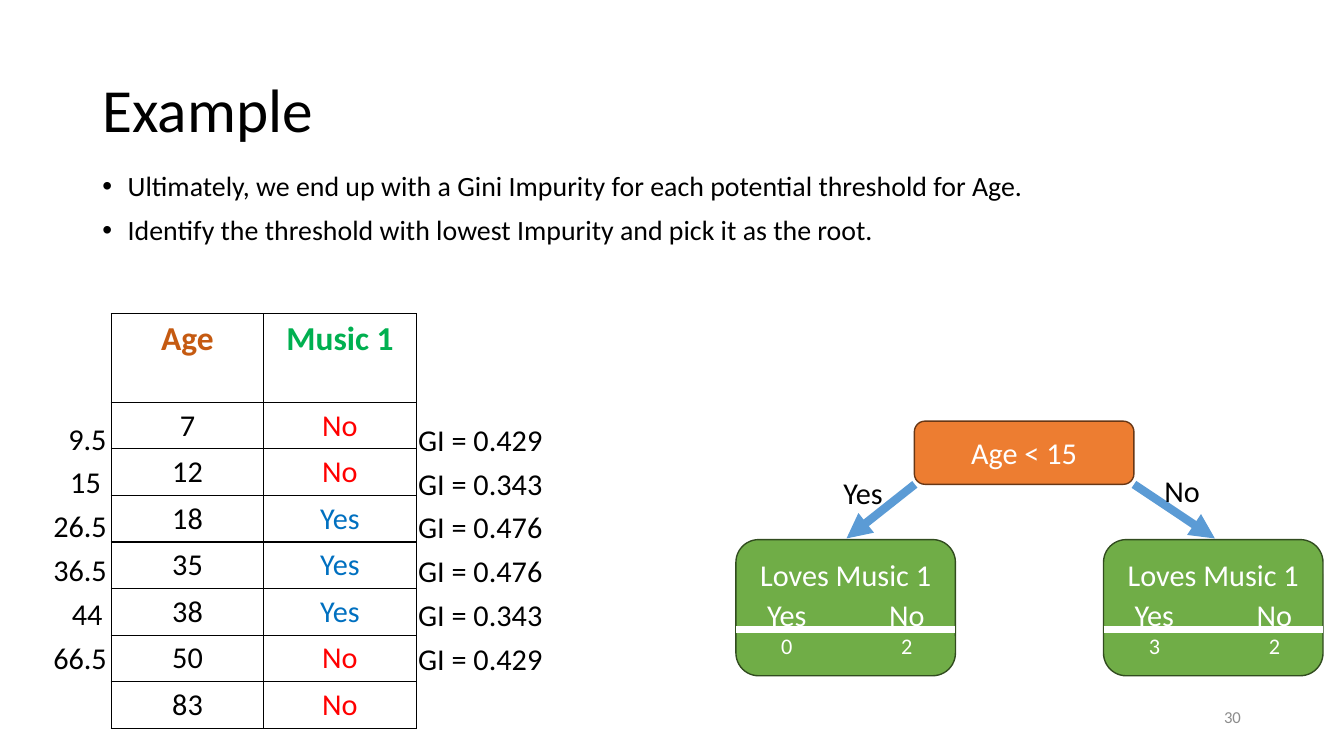
"""Build the slide that picks the root threshold for Age by Gini Impurity."""
from dataclasses import dataclass
from typing import Any

from lxml.etree import SubElement
from pptx import Presentation
from pptx.dml.color import RGBColor
from pptx.enum.shapes import MSO_CONNECTOR as Link, MSO_SHAPE as Preset
from pptx.enum.text import MSO_ANCHOR as Anchor, MSO_AUTO_SIZE as Fit, PP_ALIGN as Align
from pptx.oxml.ns import qn
from pptx.util import Cm, Pt

BLACK, WHITE = "000000", "FFFFFF"
ORANGE, GREEN, BLUE = "ED7D31", "70AD47", "5B9BD5"
ANSWER_COLOURS = {"Yes": "0070C0", "No": "FF0000"}
SMALL = {"size": Pt(16)}
NORMAL = {"size": Pt(21.7)}
HEADING = {"size": Pt(24), "bold": True}
SPLIT_TOP, SPLIT_STEP = 10.5, 1.11
LEAF_TOP, LEAF_WIDTH, LEAF_HEIGHT = 13.67, 5.56, 3.45
DIVIDER_Y = 15.95


@dataclass
class Split:
    threshold: str
    left: float
    width: float
    impurity: str


@dataclass
class Leaf:
    left: float
    yes: str
    no: str


@dataclass
class Branch:
    start: tuple[float, float]
    end: tuple[float, float]
    answer: str
    label_at: tuple[float, float]


SPLITS = [
    Split("9.5", 1.48, 1.5, "0.429"),
    Split("15", 1.53, 1.5, "0.343"),
    Split("26.5", 1.1, 1.98, "0.476"),
    Split("36.5", 1.1, 1.98, "0.476"),
    Split("44", 1.57, 1.5, "0.343"),
    Split("66.5", 1.1, 1.98, "0.429"),
]
LEAVES = [Leaf(18.64, "0", "2"), Leaf(27.95, "3", "2")]
BRANCHES = [
    Branch((23.17, 12.27), (21.44, 13.64), "Yes", (21.11, 11.89)),
    Branch((28.72, 12.27), (30.77, 13.64), "No", (29.24, 11.84)),
]
LISTENERS = [("7", "No"), ("12", "No"), ("18", "Yes"), ("35", "Yes"),
             ("38", "Yes"), ("50", "No"), ("83", "No")]
ADVICE = [
    "Ultimately, we end up with a Gini Impurity for each potential threshold for Age.",
    "Identify the threshold with lowest Impurity and pick it as the root.",
]


def colour(value: str) -> RGBColor:
    return RGBColor.from_string(value)


def apply(target: Any, values: dict[str, Any]) -> None:
    for name, value in values.items():
        setattr(target, name, value)


def write(paragraph: Any, words: str, ink: str = BLACK,
          look: dict[str, Any] = NORMAL, align: Align = Align.LEFT) -> None:
    paragraph.alignment = align
    run = paragraph.add_run()
    run.text = words
    apply(run.font, {"name": "Calibri", **look})
    run.font.color.rgb = colour(ink)


def add_label(slide: Any, words: str, left: float, top: float, width: float,
              height: float = 1.19, **style: Any) -> None:
    frame = slide.shapes.add_textbox(Cm(left), Cm(top), Cm(width), Cm(height)).text_frame
    apply(frame, {"word_wrap": True, "vertical_anchor": Anchor.MIDDLE})
    write(frame.paragraphs[0], words, **style)


def add_node(slide: Any, words: str, left: float, top: float, width: float,
             height: float, fill: str, edge: str) -> Any:
    node = slide.shapes.add_shape(
        Preset.ROUNDED_RECTANGLE, Cm(left), Cm(top), Cm(width), Cm(height))
    node.shadow.inherit = False
    node.fill.solid()
    node.fill.fore_color.rgb = colour(fill)
    node.line.color.rgb = colour(edge)
    node.line.width = Pt(1)
    frame = node.text_frame
    apply(frame, {"word_wrap": True, "vertical_anchor": Anchor.MIDDLE})
    write(frame.paragraphs[0], words, WHITE, align=Align.CENTER)
    return frame


def add_line(slide: Any, start: tuple[float, float], end: tuple[float, float],
             ink: str, width: float, arrow: bool = False) -> None:
    line = slide.shapes.add_connector(
        Link.STRAIGHT, *(Cm(value) for value in (*start, *end)))
    line.line.color.rgb = colour(ink)
    line.line.width = Pt(width)
    properties = line._element.spPr
    if arrow:
        SubElement(properties.find(qn("a:ln")), qn("a:tailEnd"), type="triangle")
    SubElement(properties, qn("a:effectLst"))


def add_leaf(slide: Any, leaf: Leaf) -> None:
    frame = add_node(slide, "Loves Music 1", leaf.left, LEAF_TOP,
                     LEAF_WIDTH, LEAF_HEIGHT, GREEN, "314C1F")
    for words, look, gap in [("\tYes\tNo", NORMAL, 2.4),
                             (f"\t{leaf.yes}\t{leaf.no}", SMALL, 0)]:
        row = frame.add_paragraph()
        row.space_before = Pt(gap)
        stops = SubElement(row._p.get_or_add_pPr(), qn("a:tabLst"))
        for position in (0.87, 3.91):
            SubElement(stops, qn("a:tab"), pos=str(Cm(position)), algn="ctr")
        write(row, words, WHITE, look)
    add_line(slide, (leaf.left, DIVIDER_Y), (leaf.left + LEAF_WIDTH, DIVIDER_Y), WHITE, 4.5)


def fill_cell(cell: Any, words: str, ink: str, look: dict[str, Any]) -> None:
    write(cell.text_frame.paragraphs[0], words, ink, look, Align.CENTER)
    properties = cell._tc.get_or_add_tcPr()
    for side in ("lnL", "lnR", "lnT", "lnB"):
        border = SubElement(properties, qn(f"a:{side}"), w=str(Pt(1)))
        SubElement(SubElement(border, qn("a:solidFill")), qn("a:srgbClr"), val=BLACK)
    cell.fill.background()


def add_listeners(slide: Any) -> None:
    table = slide.shapes.add_table(
        len(LISTENERS) + 1, 2, Cm(2.82), Cm(7.95), Cm(7.72), Cm(10.5)).table
    apply(table, {"first_row": False, "horz_banding": False})
    for column in table.columns:
        column.width = Cm(3.86)
    for index, row in enumerate(table.rows):
        row.height = Cm(1.18 if index else 2.24)
    fill_cell(table.cell(0, 0), "Age", "C55A11", HEADING)
    fill_cell(table.cell(0, 1), "Music 1", "00B050", HEADING)
    for index, (age, answer) in enumerate(LISTENERS, 1):
        fill_cell(table.cell(index, 0), age, BLACK, NORMAL)
        fill_cell(table.cell(index, 1), answer, ANSWER_COLOURS[answer], NORMAL)


def add_heading_and_advice(slide: Any) -> None:
    heading, advice = slide.shapes.title, slide.placeholders[1]
    for holder, top, height, anchor in [(heading, 1.02, 3.68, Anchor.MIDDLE),
                                        (advice, 4.24, 3.25, Anchor.TOP)]:
        apply(holder, {"left": Cm(2.34), "top": Cm(top),
                       "width": Cm(29.36), "height": Cm(height)})
        apply(holder.text_frame, {"auto_size": Fit.NONE, "word_wrap": True,
                                  "vertical_anchor": anchor})
    heading.text_frame.paragraphs[0].line_spacing = 0.9
    write(heading.text_frame.paragraphs[0], "Example", look={"size": Pt(44)})
    for index, sentence in enumerate(ADVICE):
        frame = advice.text_frame
        point = frame.add_paragraph() if index else frame.paragraphs[0]
        apply(point, {"line_spacing": 0.9, "space_before": Pt(10 if index else 0)})
        properties = point._p.get_or_add_pPr()
        properties.set("marL", str(Cm(0.64)))
        properties.set("indent", str(-Cm(0.64)))
        SubElement(properties, qn("a:buFont"), typeface="Arial")
        SubElement(properties, qn("a:buChar"), char="•")
        write(point, sentence, look={"size": Pt(20)})


def main() -> None:
    deck = Presentation()
    apply(deck, {"slide_width": Cm(34.04), "slide_height": Cm(19.05)})
    slide = deck.slides.add_slide(deck.slide_layouts[1])
    add_heading_and_advice(slide)
    add_label(slide, "30", 24.03, 17.65, 7.65, 1.02,
              ink="8C8C8C", look={"size": Pt(12)}, align=Align.RIGHT)
    add_listeners(slide)
    for index, split in enumerate(SPLITS):
        top = SPLIT_TOP + index * SPLIT_STEP
        add_label(slide, split.threshold, split.left, top, split.width)
        add_label(slide, f"GI = {split.impurity}", 10.34, top + 0.03, 4.6)
    add_node(slide, "Age < 15", 23.16, 10.67, 5.56, 1.6, ORANGE, "683715")
    for leaf in LEAVES:
        add_leaf(slide, leaf)
    for branch in BRANCHES:
        add_line(slide, branch.start, branch.end, BLUE, 6, arrow=True)
        add_label(slide, branch.answer, *branch.label_at, 1.73)
    deck.save("out.pptx")


if __name__ == "__main__":
    main()
